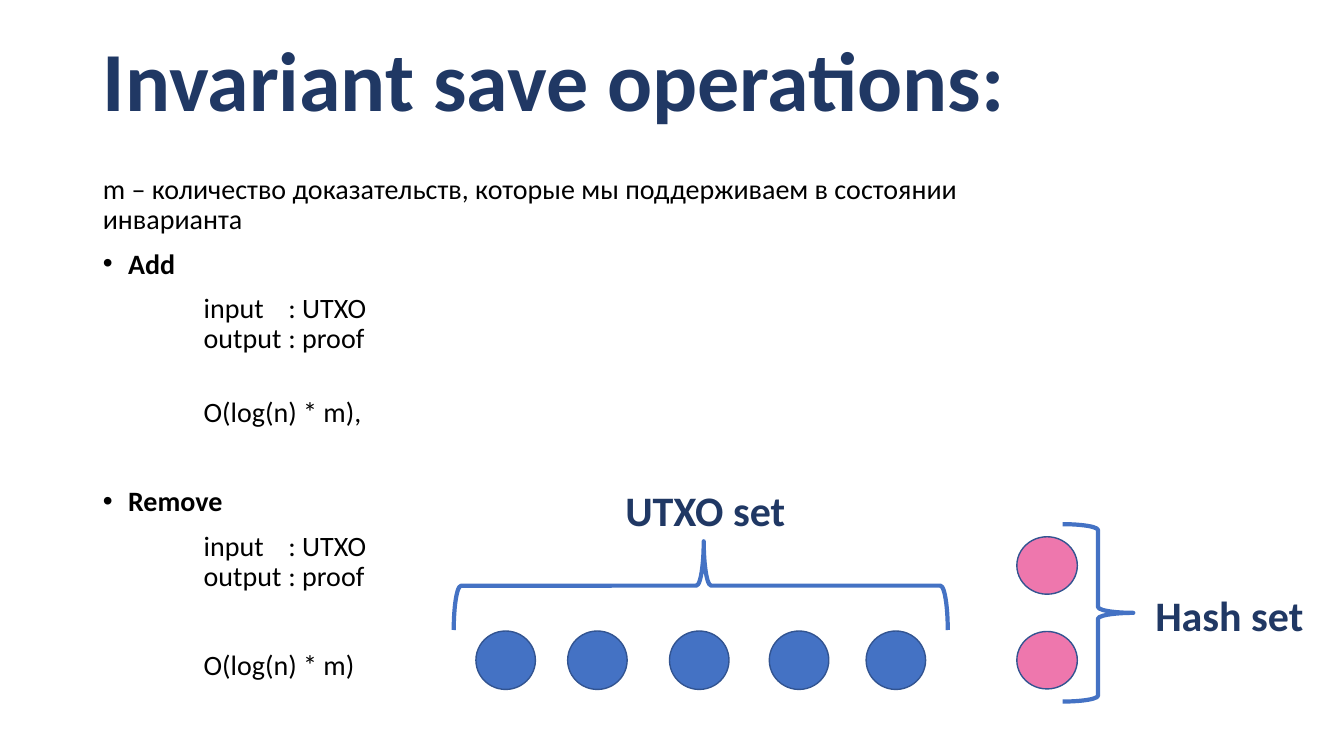
from dataclasses import dataclass

from lxml import etree
from pptx import Presentation
from pptx import util as u
from pptx.dml.color import RGBColor
from pptx.enum import shapes, text
from pptx.oxml.ns import qn


@dataclass(frozen=True)
class Theme:
    font: str = "Calibri"
    navy: str = "203864"
    black: str = "000000"
    blue: str = "4472C4"
    pink: str = "EE77AD"
    outline: str = "325491"
    title_size: int = 60
    label_size: int = 30
    body_size: int = 20


@dataclass(frozen=True)
class Box:
    left: float
    top: float
    width: float
    height: float

    def emu(self) -> list:
        return [u.Inches(n) for n in (self.left, self.top, self.width, self.height)]


@dataclass(frozen=True)
class Para:
    lines: tuple
    before: float = 10
    margin: float = 0
    bullet: bool = False


@dataclass(frozen=True)
class Dots:
    boxes: tuple
    color: str
    rotation: float = 0


@dataclass(frozen=True)
class Brace:
    box: Box
    rotation: float
    middle: float = 0.5


@dataclass(frozen=True)
class Label:
    text: str
    box: Box
    align: text.PP_ALIGN


THEME = Theme()
BULLET_INDENT = 0.25
DETAIL_INDENT = 1.0
COLON_GAP = 0.84
OPERATION = ("input\t: UTXO", "output\t: proof")

TITLE = "Invariant save operations:"
BODY = (
    Para(("m – количество доказательств, которые мы поддерживаем в состоянии инварианта",), 0),
    Para(("Add",), 10, BULLET_INDENT, True),
    Para(OPERATION, 10, DETAIL_INDENT),
    Para(("O(log(n) * m),",), 31.5, DETAIL_INDENT),
    Para(("Remove",), 42, BULLET_INDENT, True),
    Para(OPERATION, 10, DETAIL_INDENT),
    Para(("O(log(n) * m)",), 42, DETAIL_INDENT),
)
DOTS = (
    Dots(tuple(Box(10.1, top, 0.57, 0.6) for top in (5.31, 6.25)), THEME.pink, 90),
    Dots(tuple(Box(left, 6.26, 0.59, 0.58) for left in (4.72, 5.63, 6.64, 7.63, 8.59)),
         THEME.blue),
)
BRACES = (
    Brace(Box(10.54, 5.2, 0.7, 1.76), 180),
    Brace(Box(6.51, 3.36, 0.88, 4.9), 90, 0.494),
)
LABELS = (
    Label("Hash set", Box(11.36, 5.8, 1.79, 0.61), text.PP_ALIGN.LEFT),
    Label("UTXO set", Box(5.4, 4.76, 3.19, 0.61), text.PP_ALIGN.CENTER),
)


def place(sp, box: Box) -> None:
    sp.left, sp.top, sp.width, sp.height = box.emu()


def add_run(p, words: str, size: int, color: str, bold: bool) -> None:
    r = p.add_run()
    r.text = words
    r.font.name = THEME.font
    r.font.size = u.Pt(size)
    r.font.bold = bold
    r.font.color.rgb = RGBColor.from_string(color)


def format_list(p, para: Para) -> None:
    """Set the indent, bullet and tab stop of a body paragraph."""
    pPr = p._p.get_or_add_pPr()
    margin = u.Inches(para.margin)
    pPr.set("marL", str(margin))
    pPr.set("indent", str(-margin if para.bullet else 0))
    if para.bullet:
        etree.SubElement(pPr, qn("a:buFont")).set("typeface", "Arial")
        etree.SubElement(pPr, qn("a:buChar")).set("char", "•")
    else:
        pPr.set("defTabSz", str(u.Inches(COLON_GAP)))
        etree.SubElement(pPr, qn("a:buNone"))
        tabs = etree.SubElement(pPr, qn("a:tabLst"))
        stop = u.Inches(DETAIL_INDENT + COLON_GAP)
        etree.SubElement(tabs, qn("a:tab"), pos=str(stop), algn="l")


def fill_title(sp) -> None:
    place(sp, Box(0.92, 0.11, 11.5, 1.45))
    tf = sp.text_frame
    tf.auto_size = text.MSO_AUTO_SIZE.NONE
    tf.vertical_anchor = text.MSO_ANCHOR.MIDDLE
    p = tf.paragraphs[0]
    p.alignment = text.PP_ALIGN.LEFT
    p.line_spacing = 0.9
    add_run(p, TITLE, THEME.title_size, THEME.navy, True)


def fill_body(sp) -> None:
    place(sp, Box(0.92, 1.69, 8.82, 5.21))
    tf = sp.text_frame
    tf.auto_size = text.MSO_AUTO_SIZE.NONE
    for i, para in enumerate(BODY):
        p = tf.add_paragraph() if i else tf.paragraphs[0]
        format_list(p, para)
        p.line_spacing = 0.9
        p.space_before = u.Pt(para.before)
        for j, line in enumerate(para.lines):
            if j:
                p.add_line_break()
            add_run(p, line, THEME.body_size, THEME.black, para.bullet)


def add_dots(slide, dots: Dots) -> None:
    group = slide.shapes.add_group_shape()
    for box in dots.boxes:
        sp = group.shapes.add_shape(shapes.MSO_SHAPE.OVAL, *box.emu())
        sp.rotation = dots.rotation
        sp.shadow.inherit = False
        sp.fill.solid()
        sp.fill.fore_color.rgb = RGBColor.from_string(dots.color)
        sp.line.color.rgb = RGBColor.from_string(THEME.outline)
        sp.line.width = u.Pt(1)


def add_brace(slide, brace: Brace) -> None:
    sp = slide.shapes.add_shape(shapes.MSO_SHAPE.LEFT_BRACE, *brace.box.emu())
    sp.rotation = brace.rotation
    sp.adjustments[1] = brace.middle
    sp.shadow.inherit = False
    sp.fill.background()
    sp.line.color.rgb = RGBColor.from_string(THEME.blue)
    sp.line.width = u.Pt(3)


def add_label(slide, label: Label) -> None:
    tf = slide.shapes.add_textbox(*label.box.emu()).text_frame
    tf.word_wrap = True
    p = tf.paragraphs[0]
    p.alignment = label.align
    add_run(p, label.text, THEME.label_size, THEME.navy, True)


def main() -> None:
    prs = Presentation()
    prs.slide_width, prs.slide_height = u.Inches(13.33), u.Inches(7.5)
    slide = prs.slides.add_slide(prs.slide_layouts[1])

    # Title and operations list
    fill_title(slide.shapes.title)
    fill_body(slide.placeholders[1])

    # Diagram of the two sets
    for dots in DOTS:
        add_dots(slide, dots)
    for brace in BRACES:
        add_brace(slide, brace)
    for label in LABELS:
        add_label(slide, label)

    prs.save("out.pptx")


if __name__ == "__main__":
    main()
